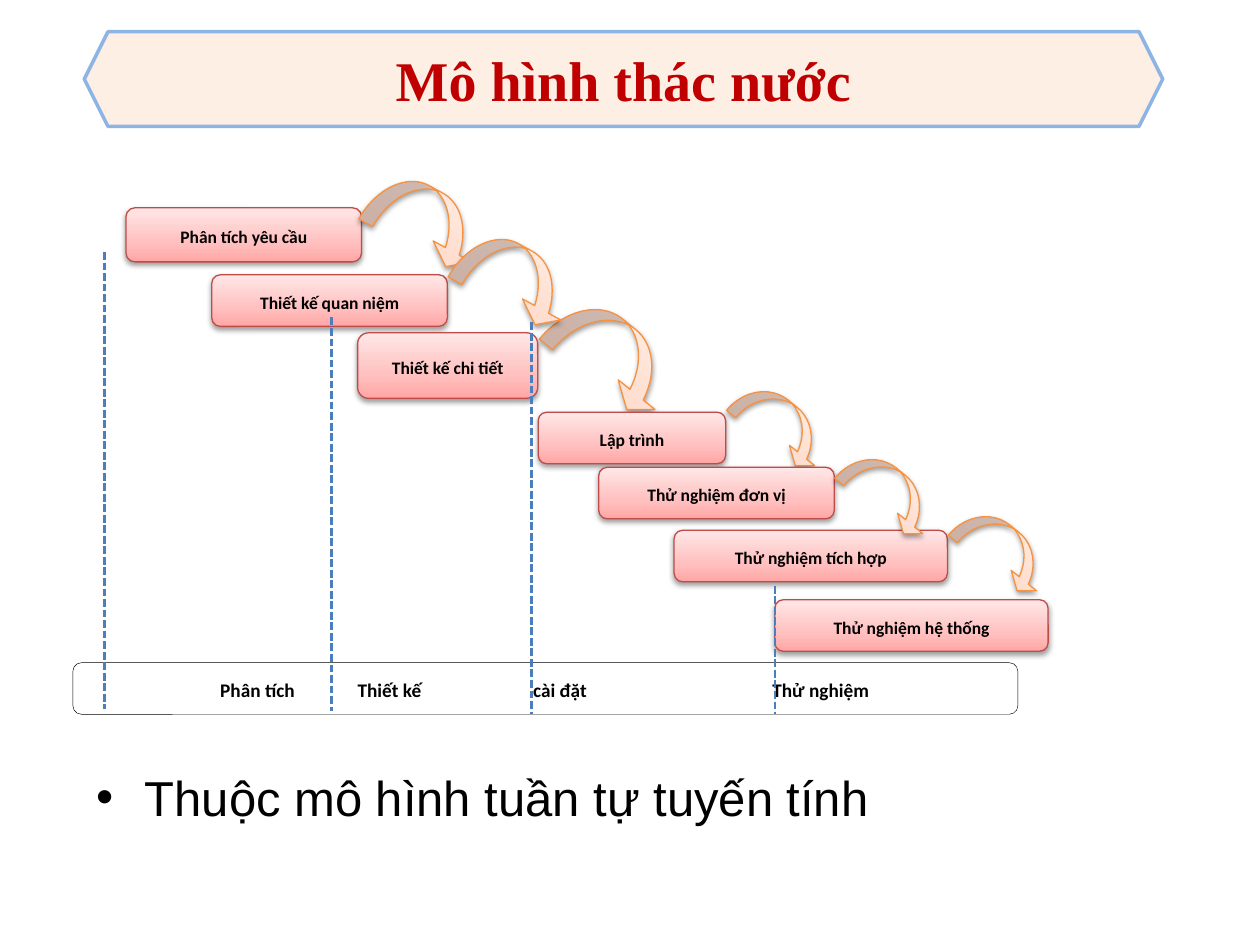
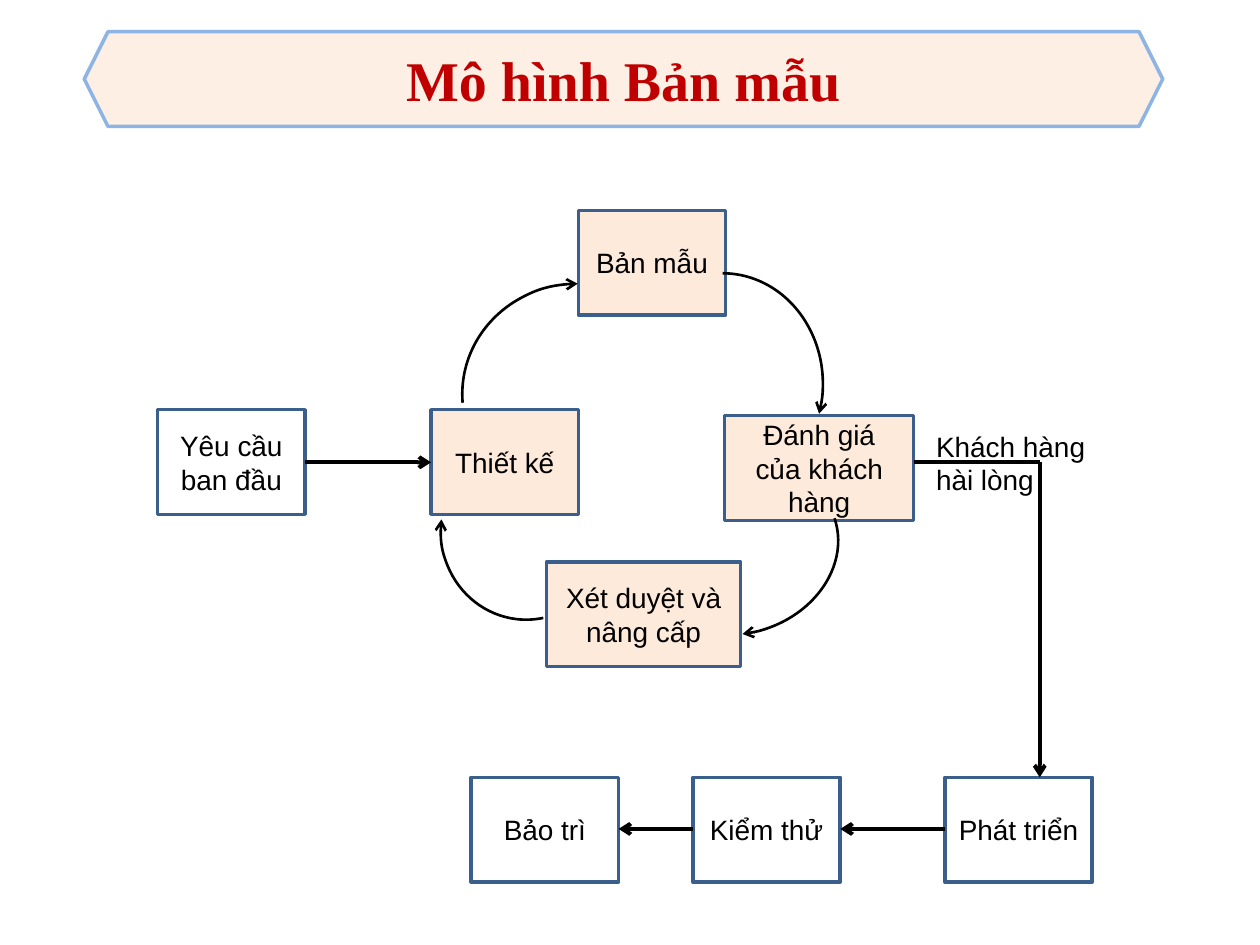
from lxml import etree
from pptx import Presentation
from pptx.dml.color import RGBColor
from pptx.enum.dml import MSO_LINE
from pptx.enum.shapes import MSO_CONNECTOR, MSO_SHAPE
from pptx.enum.text import MSO_ANCHOR, MSO_AUTO_SIZE, PP_ALIGN
from pptx.oxml import parse_xml
from pptx.oxml.ns import nsdecls, qn
from pptx.util import Cm, Pt

ROUNDED, CURVED = MSO_SHAPE.ROUNDED_RECTANGLE, MSO_SHAPE.CURVED_DOWN_ARROW
HEXAGON, RECTANGLE, ARC = MSO_SHAPE.HEXAGON, MSO_SHAPE.RECTANGLE, MSO_SHAPE.ARC
STRAIGHT, DASH = MSO_CONNECTOR.STRAIGHT, MSO_LINE.SQUARE_DOT
LEFT, CENTER = PP_ALIGN.LEFT, PP_ALIGN.CENTER
TOP, MIDDLE, NO_FIT = MSO_ANCHOR.TOP, MSO_ANCHOR.MIDDLE, MSO_AUTO_SIZE.NONE

BLACK = RGBColor(0x00, 0x00, 0x00)
WHITE = RGBColor(0xFF, 0xFF, 0xFF)
TITLE_RED = RGBColor(0xC0, 0x00, 0x00)
BAND_FILL = RGBColor(0xFD, 0xEF, 0xE3)
BAND_LINE = RGBColor(0x8E, 0xB4, 0xE3)
STEP_LINE = RGBColor(0xBF, 0x4C, 0x48)
ARROW_LINE = RGBColor(0xF6, 0x92, 0x40)
DASH_BLUE = RGBColor(0x4B, 0x7E, 0xBC)
BOX_LINE = RGBColor(0x3A, 0x5F, 0x8C)
BOX_FILL = RGBColor(0xFD, 0xEA, 0xDA)
STEP_GRADIENT = ("FFA6A5", "FFC0BF", "FFE7E7")
ARROW_GRADIENT = ("FFD2BD", "FFDED0", "FFF2ED")

TITLE_FONT = {"name": "Times New Roman", "size": Pt(32), "bold": True}
STEP_FONT = {"name": "Calibri", "size": Pt(10), "bold": True}
PHASE_FONT = {"name": "Calibri", "size": Pt(11), "bold": True}
BULLET_FONT = {"name": "Arial", "size": Pt(28)}
BOX_FONT = {"name": "Arial", "size": Pt(16)}
STEP_SPACING = {"line_spacing": 1.15, "space_before": Pt(6)}
NO_MARGINS = dict.fromkeys(
    ("margin_left", "margin_right", "margin_top", "margin_bottom"), 0)


def write_text(box, text, font, color=BLACK, align=CENTER, anchor=MIDDLE,
               spacing=None, margins=None):
    frame = box.text_frame
    frame.word_wrap = True
    frame.auto_size = NO_FIT
    frame.vertical_anchor = anchor
    para = frame.paragraphs[0]
    para.alignment = align
    span = para.add_run()
    span.text = text
    span.font.color.rgb = color
    for target, values in ((frame, margins), (para, spacing), (span.font, font)):
        for name, value in (values or {}).items():
            setattr(target, name, value)
    return para


def draw_shape(page, kind, place, line, width, fill=None):
    shape = page.shapes.add_shape(kind, *(Cm(value) for value in place))
    shape.shadow.inherit = False
    shape.line.color.rgb = line
    shape.line.width = Pt(width)
    if fill is None:
        shape.fill.background()
    else:
        shape.fill.solid()
        shape.fill.fore_color.rgb = fill
    return shape


deck = Presentation()
deck.slide_width, deck.slide_height = Cm(25.4), Cm(19.05)

# Title bands
BAND = (1.7, 0.64, 21.74, 1.91)
pages = []
for heading in ("Mô hình thác nước", "Mô hình Bản mẫu"):
    page = deck.slides.add_slide(deck.slide_layouts[5])
    band = draw_shape(page, HEXAGON, BAND, BAND_LINE, 2, BAND_FILL)
    title = page.shapes.title
    title.left, title.top, title.width, title.height = (Cm(v) for v in BAND)
    write_text(title, heading, TITLE_FONT, TITLE_RED)
    band.element.addnext(title.element)
    pages.append(page)
waterfall, prototype = pages

# Waterfall steps and the arrows between them, back to front (no text: arrow)
SMALL_ARROW, LARGE_ARROW = (2.11, 0.94), (2.44, 1.27)
STEPS = [
    ("Phân tích yêu cầu", 2.54, 4.19, (4.75, 1.09), 0),
    (None, 7.39, 3.81, LARGE_ARROW, 28.8),
    (None, 11, 6.48, (2.74, 1.37), 38.9),
    (None, 14.71, 8.1, SMALL_ARROW, 38.9),
    ("Thiết kế quan niệm", 4.27, 5.54, (4.75, 1.04), 0),
    ("Thiết kế chi tiết", 7.21, 6.71, (3.63, 1.32), 0),
    (None, 9.19, 4.98, LARGE_ARROW, 28.8),
    ("Lập trình", 10.85, 8.31, (3.78, 1.04), 0),
    ("Thử nghiệm đơn vị", 12.07, 9.42, (4.75, 1.04), 0),
    ("Thử nghiệm tích hợp", 13.59, 10.69, (5.51, 1.04), 0),
    ("Thử nghiệm hệ thống", 15.62, 12.09, (5.51, 1.04), 0),
    (None, 16.89, 9.47, SMALL_ARROW, 38.9),
    (None, 19.18, 10.62, SMALL_ARROW, 38.9),
]
for text, left, top, size, rotation in STEPS:
    kind, line, colors = ((ROUNDED, STEP_LINE, STEP_GRADIENT) if text
                          else (CURVED, ARROW_LINE, ARROW_GRADIENT))
    shape = draw_shape(waterfall, kind, (left, top, *size), line, 0.75)
    shape.rotation = rotation
    if text:
        write_text(shape, text, STEP_FONT, spacing=STEP_SPACING, margins=NO_MARGINS)
    else:
        for index, value in enumerate((0.25, 0.695, 0.262)):
            shape.adjustments[index] = value
    # Three-stop gradient and soft shadow
    stops = "".join(
        f'<a:gs pos="{position}"><a:srgbClr val="{color}"/></a:gs>'
        for position, color in zip((0, 35000, 100000), colors))
    properties = shape.element.spPr
    properties.replace(properties.find(qn("a:noFill")), parse_xml(
        f'<a:gradFill {nsdecls("a")} rotWithShape="1"><a:gsLst>{stops}</a:gsLst>'
        '<a:lin ang="16200000" scaled="1"/></a:gradFill>'))
    properties.find(qn("a:effectLst")).append(parse_xml(
        f'<a:outerShdw {nsdecls("a")} blurRad="40000" dist="20000" dir="5400000" '
        'rotWithShape="0"><a:srgbClr val="000000"><a:alpha val="38000"/>'
        '</a:srgbClr></a:outerShdw>'))

# Phase bar, names set on tab stops
bar = draw_shape(waterfall, ROUNDED, (1.47, 13.36, 19.05, 1.04), BLACK, 0.25, WHITE)
para = write_text(bar, "Phân tích\tThiết kế\tcài đặt\tThử nghiệm", PHASE_FONT,
                  align=LEFT, spacing=STEP_SPACING,
                  margins={**NO_MARGINS, "margin_left": Cm(2.92)})
tabs = etree.SubElement(para._p.get_or_add_pPr(), qn("a:tabLst"))
for position in (2.77, 6.31, 11.13):
    etree.SubElement(tabs, qn("a:tab"), pos=str(Cm(position)), algn="l")

# Dashed phase borders
for x, top, bottom in ((2.11, 5.08, 14.3), (6.68, 6.4, 14.33),
                       (10.72, 6.5, 14.4), (15.62, 11.81, 14.4)):
    border = waterfall.shapes.add_connector(STRAIGHT, Cm(x), Cm(top), Cm(x), Cm(bottom))
    border.line.color.rgb = DASH_BLUE
    border.line.width = Pt(1.5)
    border.line.dash_style = DASH
    etree.SubElement(border.element.spPr, qn("a:effectLst"))

# Bullet below the diagram
box = waterfall.shapes.add_textbox(Cm(1.7), Cm(15.34), Cm(22.86), Cm(2.41))
para = write_text(box, "Thuộc mô hình tuần tự tuyến tính", BULLET_FONT,
                  align=LEFT, anchor=TOP, spacing={"space_before": Pt(5.6)})
settings = para._p.get_or_add_pPr()
settings.set("marL", str(Cm(0.97)))
settings.set("indent", str(-Cm(0.97)))
etree.SubElement(settings, qn("a:buFont"), typeface="Arial")
etree.SubElement(settings, qn("a:buChar"), char="•")

# Prototype boxes
for text, left, top, width, fill in (
        ("Yêu cầu ban đầu", 3.18, 8.26, 2.97, None),
        ("Thiết kế", 8.69, 8.26, 2.97, BOX_FILL),
        ("Đánh giá của khách hàng", 14.61, 8.38, 3.81, BOX_FILL),
        ("Bản mẫu", 11.66, 4.24, 2.97, BOX_FILL),
        ("Bảo trì", 9.5, 15.67, 2.97, None),
        ("Kiểm thử", 13.97, 15.67, 2.97, None),
        ("Phát triển", 19.05, 15.67, 2.97, None),
        ("Xét duyệt và nâng cấp", 11.02, 11.33, 3.91, BOX_FILL)):
    box = draw_shape(prototype, RECTANGLE, (left, top, width, 2.11), BOX_LINE, 2, fill)
    write_text(box, text, BOX_FONT)

# Straight links
for start_x, start_y, end_x, end_y, has_arrow in (
        (6.15, 9.32, 8.69, 9.32, True),
        (13.97, 16.71, 12.47, 16.71, True),
        (19.05, 16.71, 16.94, 16.71, True),
        (18.42, 9.32, 20.96, 9.32, False),
        (20.96, 9.32, 20.96, 15.67, True)):
    link = prototype.shapes.add_connector(
        STRAIGHT, Cm(start_x), Cm(start_y), Cm(end_x), Cm(end_y))
    link.line.color.rgb = BLACK
    link.line.width = Pt(2.25)
    etree.SubElement(link.element.spPr, qn("a:effectLst"))
    if has_arrow:
        etree.SubElement(link.element.spPr.find(qn("a:ln")), qn("a:tailEnd"), type="arrow")

# Curved links of the prototype cycle
for place, rotation, flip, end_angle, arrow_end in (
        ((12.55, 5.51, 4.04, 4.45), 0, None, 10.384, "a:tailEnd"),
        ((13.26, 9.09, 3.33, 4.01), 71.2, None, 10.384, "a:tailEnd"),
        ((9.32, 5.72, 4.65, 4.45), 0, "flipH", 2.585, "a:headEnd"),
        ((8.81, 8.94, 3.63, 3.48), 96.9, "flipV", 10.384, "a:headEnd")):
    curve = draw_shape(prototype, ARC, place, BLACK, 1.5)
    curve.rotation = rotation
    curve.adjustments[0], curve.adjustments[1] = 162, end_angle
    properties = curve.element.spPr
    if flip:
        properties.find(qn("a:xfrm")).set(flip, "1")
    etree.SubElement(properties.find(qn("a:ln")), qn(arrow_end), type="arrow")

# Note on the way out of the cycle
note = prototype.shapes.add_textbox(Cm(18.62), Cm(8.53), Cm(3.81), Cm(1.63))
write_text(note, "Khách hàng hài lòng", BOX_FONT, align=LEFT, anchor=TOP)

deck.save("out.pptx")
